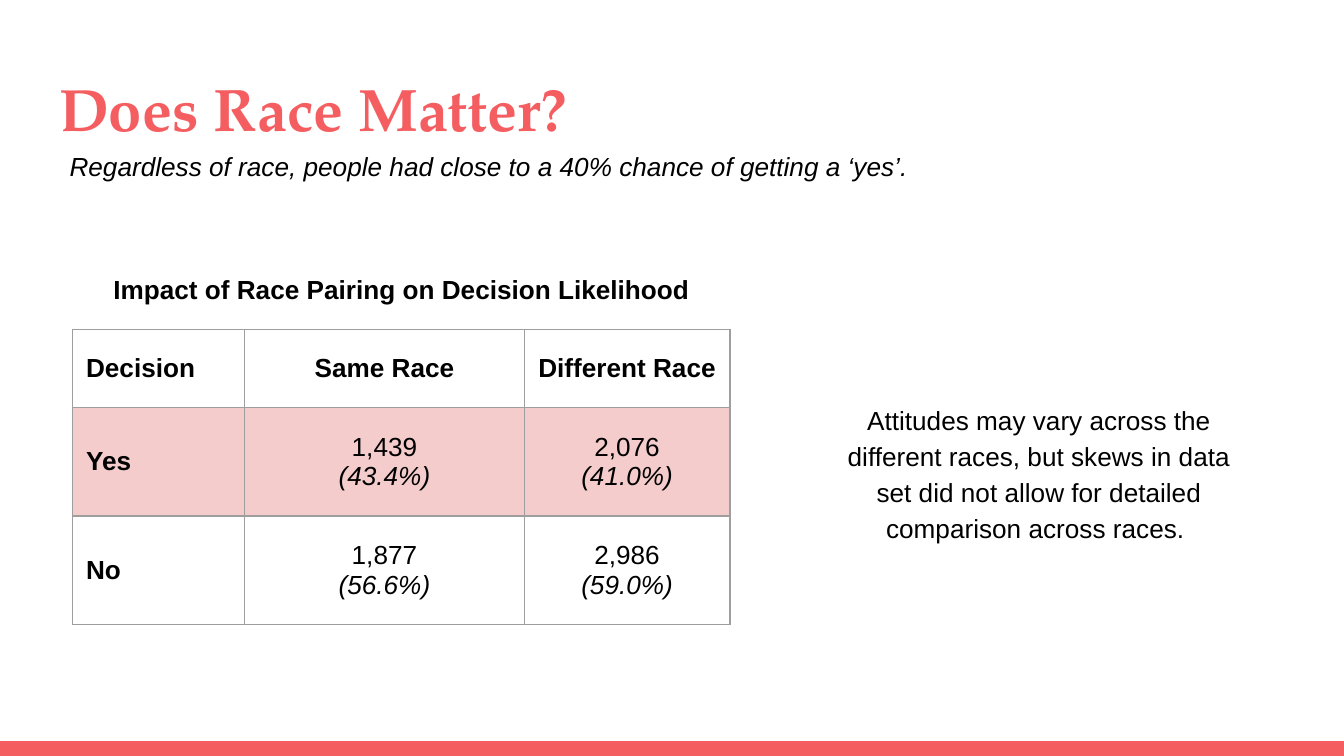
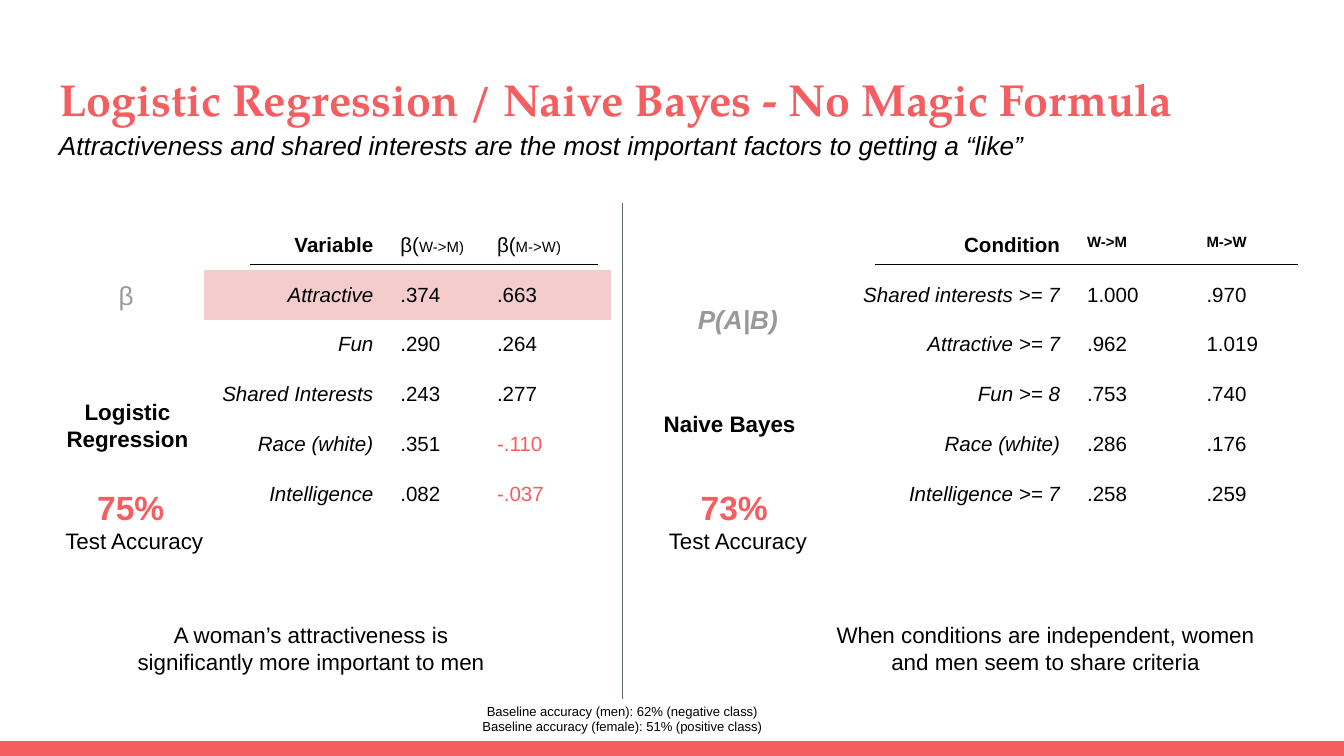
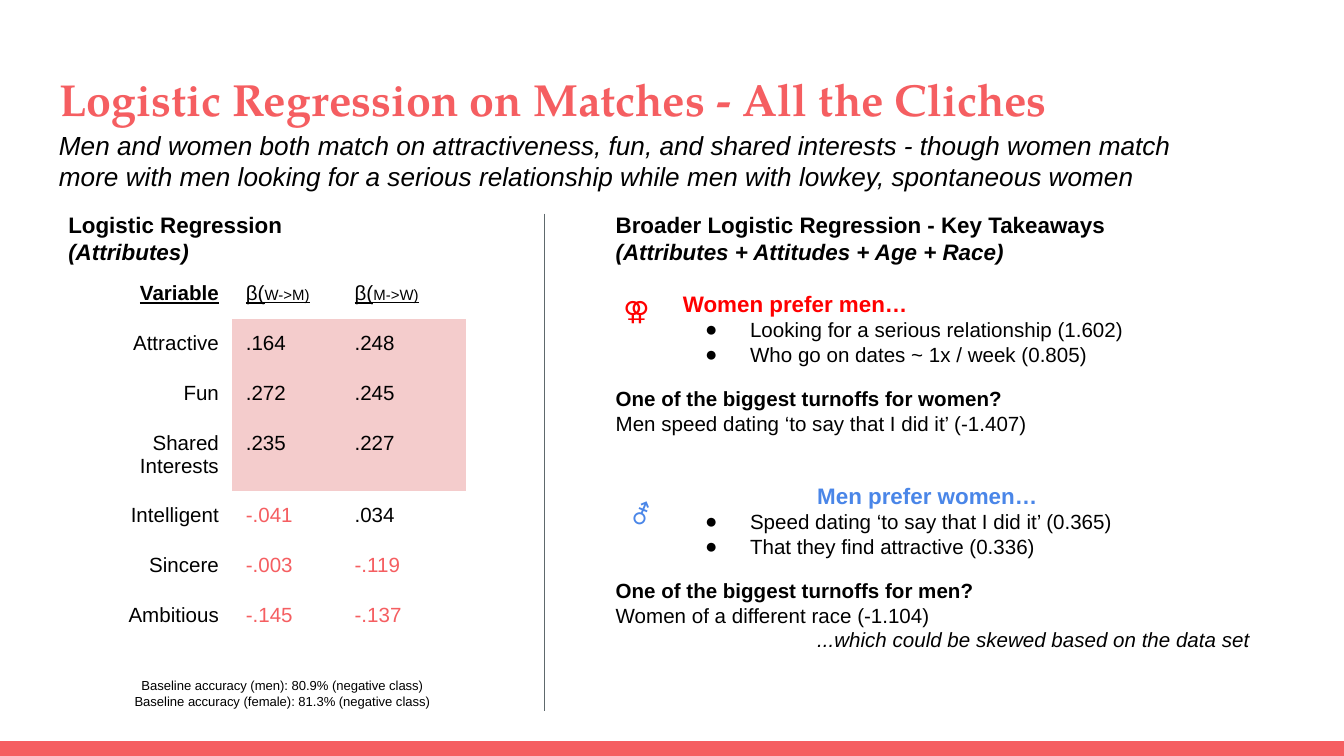
from lxml import etree
from pptx import Presentation
from pptx.dml.color import RGBColor
from pptx.enum import shapes, text
from pptx.oxml import ns
from pptx.util import Pt

CORAL, PINK, BLACK = "F55E61", "F4CCCC", "000000"
GRAY, SLATE, BORDER = "999999", "5E696C", "9E9E9E"
RED, BLUE = "FF0000", "4A86E8"
BODY_FONT, TITLE_FONT = "Arial", "TeX Gyre Pagella"
NO_GRID = "{2D5ABB26-0587-4C30-8999-92F81FD0307C}"
LEFT, CENTER, RIGHT = text.PP_ALIGN.LEFT, text.PP_ALIGN.CENTER, text.PP_ALIGN.RIGHT
TOP, MIDDLE = text.MSO_ANCHOR.TOP, text.MSO_ANCHOR.MIDDLE
WIDTH, HEIGHT, BAND = 720, 405, 7.9
INSETS, TIGHT = (7.2, 7.2), (7.2, 3.6)
TITLE_BOX = (24.5, 31, 671, 49)
SUBTITLE_BOX = (24.5, 62, 617.8, 33.8)
ROW = 26.64

BETAS = [[("β(", {}), (f"{pair})", {"size": 8})] for pair in ("W->M", "M->W")]
PAIRS = [[(pair, {"size": 8, "bold": True})] for pair in ("W->M", "M->W")]

RACE = {
    "at": (38.9, 176.4), "columns": (92.2, 149.8, 110.2), "heights": (41.8, 58.3, 58.3),
    "rows": [
        ("Decision", "Same Race", "Different Race"),
        ("Yes", "1,439\n(43.4%)", "2,076\n(41.0%)"),
        ("No", "1,877\n(56.6%)", "2,986\n(59.0%)"),
    ],
    "pink_rows": (1,), "size": 14, "label": {"bold": True},
    "label_align": LEFT, "value_align": CENTER, "anchor": MIDDLE, "border": BORDER,
}
LIKES = {
    "at": (109.4, 118), "columns": (97.9, 51.8, 68.4),
    "rows": [
        ("Variable", *BETAS),
        ("Attractive", ".374", ".663"),
        ("Fun", ".290", ".264"),
        ("Shared Interests", ".243", ".277"),
        ("Race (white)", ".351", "-.110"),
        ("Intelligence", ".082", "-.037"),
    ],
    "pink_rows": (1,), "label": {"italic": True},
}
CONDITIONS = {
    "at": (439.2, 118), "columns": (136, 64, 71.3),
    "rows": [
        ("Condition", *PAIRS),
        ("Shared interests >= 7", "1.000", ".970"),
        ("Attractive >= 7", ".962", "1.019"),
        ("Fun >= 8", ".753", ".740"),
        ("Race (white)", ".286", ".176"),
        ("Intelligence >= 7", ".258", ".259"),
    ],
    "label": {"italic": True},
}
MATCHES = {
    "at": (36.7, 144), "columns": (87.8, 58.3, 67),
    "rows": [
        ("Variable", *BETAS),
        ("Attractive", ".164", ".248"),
        ("Fun", ".272", ".245"),
        ("Shared Interests", ".235", ".227"),
        ("Intelligent", "-.041", ".034"),
        ("Sincere", "-.003", "-.119"),
        ("Ambitious", "-.145", "-.137"),
    ],
    "pink_rows": (1, 2, 3), "pink_from": 1, "header": {"underline": True},
}

HEADING = {"size": 12, "bold": True}
BULLET = {"size": 11, "margin": 72, "indent": -24, "bullet": "●"}
QUESTION = {"size": 11, "bold": True, "before": 10.35}
ANSWER = {"size": 11}
TAKEAWAYS = [
    ("Broader Logistic Regression - Key Takeaways", HEADING),
    ("(Attributes + Attitudes + Age + Race)", HEADING | {"italic": True}),
    ("Women prefer men…", HEADING | {"color": RED, "margin": 36, "before": 13.8}),
    ("Looking for a serious relationship (1.602)", BULLET),
    ("Who go on dates ~ 1x / week (0.805)", BULLET),
    ("One of the biggest turnoffs for women?", QUESTION),
    ("Men speed dating ‘to say that I did it’ (-1.407)", ANSWER),
    ("Men prefer women…",
     HEADING | {"color": BLUE, "margin": 72, "indent": 36, "before": 25.3}),
    ("Speed dating ‘to say that I did it’ (0.365)", BULLET),
    ("That they find attractive (0.336)", BULLET),
    ("One of the biggest turnoffs for men?", QUESTION),
    ("Women of a different race (-1.104)", ANSWER),
    ("...which could be skewed based on the data set",
     ANSWER | {"italic": True, "margin": 72, "indent": 36}),
]

RACE_TEXTS = [
    ((46, 139, 338.4, 33), "Impact of Race Pairing on Decision Likelihood",
     {"size": 14, "bold": True, "align": CENTER}),
    ((438.5, 175.7, 236.2, 154),
     "Attitudes may vary across the different races, but skews in data set "
     "did not allow for detailed comparison across races. ",
     {"size": 14, "align": CENTER, "spacing": 1.15, "anchor": MIDDLE}),
]
MODEL_TEXTS = [
    ((51.8, 146.2, 31.7, 59.8), "β",
     {"size": 14, "color": GRAY, "align": CENTER, "insets": TIGHT}),
    ((348.5, 159, 93.6, 33.8), "P(A|B)",
     {"size": 14, "color": GRAY, "bold": True, "italic": True, "align": CENTER,
      "insets": TIGHT}),
    ((28, 206, 80.6, 44), "Logistic Regression", HEADING | {"align": CENTER}),
    ((348.5, 212.4, 93.6, 30), "Naive Bayes", HEADING),
    ((60.5, 325.4, 212.4, 44),
     "A woman’s attractiveness is significantly more important to men",
     {"size": 12, "align": CENTER}),
    ((439.2, 325.4, 242, 44),
     "When conditions are independent, women and men seem to share criteria",
     {"size": 12, "align": CENTER}),
    ((239, 369.4, 188.6, 25.2),
     "Baseline accuracy (men): 62% (negative class)\n"
     "Baseline accuracy (female): 51% (positive class)",
     {"size": 7, "align": CENTER}),
]
ACCURACIES = [(17.3, "75%"), (340.6, "73%")]
HEADER_RULES = [(133.9, 320.4), (468.7, 695.5)]
MATCH_TEXTS = [
    ((56.9, 355.7, 188.6, 25.2),
     "Baseline accuracy (men): 80.9% (negative class)\n"
     "Baseline accuracy (female): 81.3% (negative class)",
     {"size": 7, "align": CENTER}),
    ((326.2, 154, 29.5, 27.4), "⚢",
     {"size": 14, "color": RED, "align": CENTER, "insets": TIGHT}),
    ((330.5, 263.5, 20.9, 30.2), "⚦",
     {"size": 14, "color": BLUE, "align": CENTER, "insets": TIGHT}),
]


def rgb(color):
    return RGBColor.from_string(color)


def write(frame, content, size=11, font=BODY_FONT, color=BLACK, bold=False, italic=False,
          underline=False, align=LEFT, spacing=None, before=0, margin=0, indent=0, bullet=None):
    lines = content.split("\n") if isinstance(content, str) else [content]
    for line in lines:
        paragraph = frame.paragraphs[0]
        if paragraph.runs:
            paragraph = frame.add_paragraph()
        paragraph.alignment = align
        paragraph.line_spacing = spacing
        paragraph.space_before = Pt(before)
        properties = paragraph._p.get_or_add_pPr()
        properties.set("marL", str(Pt(margin)))
        properties.set("indent", str(Pt(indent)))
        if bullet:
            etree.SubElement(properties, ns.qn("a:buChar")).set("char", bullet)
        else:
            etree.SubElement(properties, ns.qn("a:buNone"))
        for words, changes in [(line, {})] if isinstance(line, str) else line:
            run = paragraph.add_run()
            run.text = words
            run.font.name = font
            run.font.size = Pt(changes.get("size", size))
            run.font.bold = changes.get("bold", bold)
            run.font.italic = italic
            run.font.underline = underline
            run.font.color.rgb = rgb(color)


def place(shape, box, insets=INSETS, anchor=TOP):
    shape.left, shape.top, shape.width, shape.height = map(Pt, box)
    frame = shape.text_frame
    frame.word_wrap = True
    frame.auto_size = text.MSO_AUTO_SIZE.NONE
    frame.vertical_anchor = anchor
    frame.margin_left = frame.margin_right = Pt(insets[0])
    frame.margin_top = frame.margin_bottom = Pt(insets[1])
    return frame


def add_text(slide, box, content, insets=INSETS, anchor=TOP, **style):
    frame = place(slide.shapes.add_textbox(*map(Pt, box)), box, insets, anchor)
    write(frame, content, **style)
    return frame


def add_line(slide, x1, y1, x2, y2, color):
    line = slide.shapes.add_connector(shapes.MSO_CONNECTOR.STRAIGHT, *map(Pt, (x1, y1, x2, y2)))
    line.line.color.rgb = rgb(color)
    line.line.width = Pt(0.75)
    etree.SubElement(line._element.spPr, ns.qn("a:effectLst"))


def add_borders(cell, color):
    properties = cell._tc.get_or_add_tcPr()
    for position, side in enumerate(("lnL", "lnR", "lnT", "lnB")):
        edge = etree.Element(ns.qn(f"a:{side}"), w=str(Pt(0.75)))
        fill = etree.SubElement(edge, ns.qn("a:solidFill"))
        etree.SubElement(fill, ns.qn("a:srgbClr"), val=color)
        properties.insert(position, edge)


def add_grid(slide, at, columns, rows, heights=None, pink_rows=(), pink_from=0, size=11,
             label=None, header=None, label_align=RIGHT, value_align=LEFT, anchor=TOP,
             border=None):
    heights = heights or [ROW] * len(rows)
    table = slide.shapes.add_table(
        len(rows), len(columns), *map(Pt, (*at, sum(columns), sum(heights)))).table
    table._tbl.tblPr[0].text = NO_GRID
    table.first_row = table.horz_banding = False
    for column, width in zip(table.columns, columns):
        column.width = Pt(width)
    for r, (values, height) in enumerate(zip(rows, heights)):
        table.rows[r].height = Pt(height)
        for c, value in enumerate(values):
            cell = table.cell(r, c)
            cell.margin_left = cell.margin_right = Pt(7.2)
            cell.margin_top = cell.margin_bottom = Pt(7.2)
            cell.vertical_anchor = anchor
            if r in pink_rows and c >= pink_from:
                cell.fill.solid()
                cell.fill.fore_color.rgb = rgb(PINK)
            else:
                cell.fill.background()
            if border:
                add_borders(cell, border)
            style = {"size": size, "align": value_align if c else label_align}
            if r == 0:
                style |= {"bold": isinstance(value, str)} | (header or {})
            elif c == 0:
                style |= label or {}
            elif value.startswith("-"):
                style["color"] = CORAL
            for line in value.split("\n") if isinstance(value, str) else [value]:
                write(cell.text_frame, line, **style | ({"italic": True} if line[0] == "(" else {}))


def add_slide(presentation, layout, title, subtitle, title_size=24, subtitle_box=SUBTITLE_BOX):
    slide = presentation.slides.add_slide(presentation.slide_layouts[layout])
    band = slide.shapes.add_shape(
        shapes.MSO_SHAPE.RECTANGLE, *map(Pt, (0, HEIGHT - BAND, WIDTH, BAND)))
    band.shadow.inherit = False
    band.fill.solid()
    band.fill.fore_color.rgb = rgb(CORAL)
    band.line.fill.background()
    write(place(slide.shapes.title, TITLE_BOX), title,
          size=title_size, font=TITLE_FONT, color=CORAL, bold=True)
    add_text(slide, subtitle_box, subtitle, size=14, italic=True)
    return slide


def add_race_slide(presentation):
    slide = add_slide(
        presentation, 5, "Does Race Matter?",
        "Regardless of race, people had close to a 40% chance of getting a ‘yes’.",
        title_size=32, subtitle_box=(30.2, 73.4, 665.3, 30.2))
    add_grid(slide, **RACE)
    for box, content, style in RACE_TEXTS:
        add_text(slide, box, content, **style)


def add_models_slide(presentation):
    slide = add_slide(
        presentation, 5, "Logistic Regression / Naive Bayes - No Magic Formula",
        "Attractiveness and shared interests are the most important factors to getting a “like”")
    add_grid(slide, **LIKES)
    add_grid(slide, **CONDITIONS)
    add_line(slide, 333.4, 108.7, 333.4, 374.4, SLATE)
    for start, end in HEADER_RULES:
        add_line(slide, start, 141.8, end, 141.8, BLACK)
    for box, content, style in MODEL_TEXTS:
        add_text(slide, box, content, **style)
    for left, share in ACCURACIES:
        frame = add_text(slide, (left, 253.4, 109.4, 41.8), [(share, {}), (" ", {"size": 14})],
                         size=18, color=CORAL, bold=True, align=CENTER)
        write(frame, "Test Accuracy", size=12, align=CENTER)


def add_matches_slide(presentation):
    slide = add_slide(
        presentation, 1, "Logistic Regression on Matches - All the Cliches",
        "Men and women both match on attractiveness, fun, and shared interests - though women "
        "match more with men looking for a serious relationship while men with lowkey, "
        "spontaneous women")
    takeaways = place(slide.placeholders[1], (322.6, 105.8, 397.4, 255))
    for content, style in TAKEAWAYS:
        write(takeaways, content, **style)
    add_grid(slide, **MATCHES)
    add_line(slide, 291.6, 114.5, 291.6, 380.9, SLATE)
    heading = add_text(slide, (29.5, 105.8, 236.2, 42), "Logistic Regression", **HEADING)
    write(heading, "(Attributes)", italic=True, **HEADING)
    for box, content, style in MATCH_TEXTS:
        add_text(slide, box, content, **style)


def main():
    presentation = Presentation()
    presentation.slide_width, presentation.slide_height = Pt(WIDTH), Pt(HEIGHT)
    add_race_slide(presentation)
    add_models_slide(presentation)
    add_matches_slide(presentation)
    presentation.save("out.pptx")


if __name__ == "__main__":
    main()
